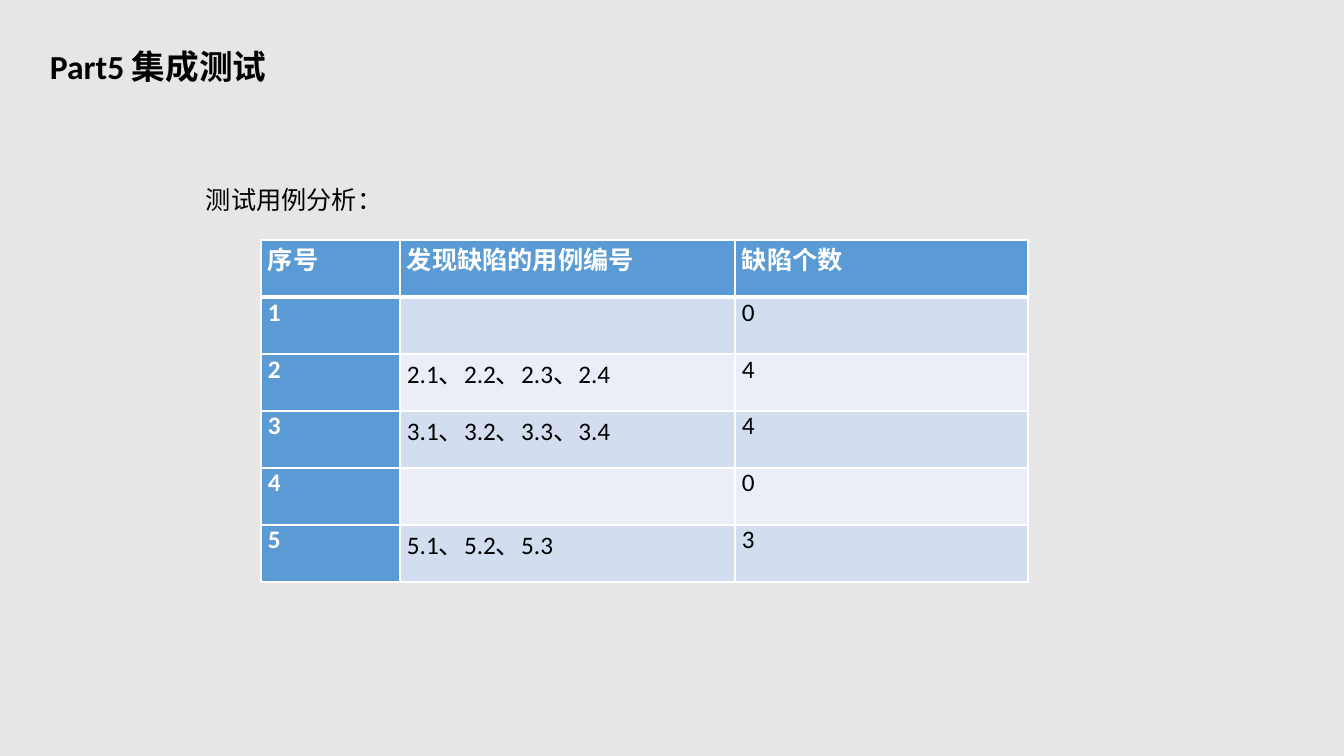
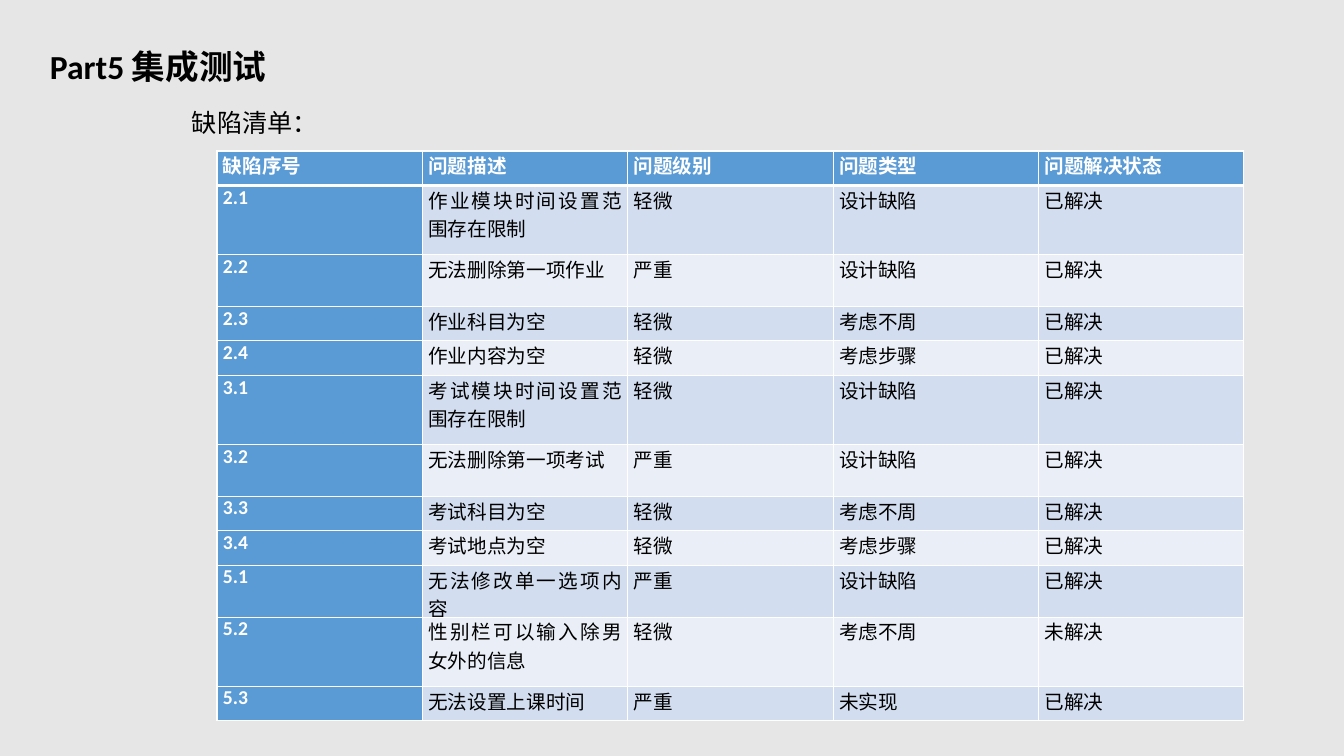
from itertools import product

from pptx import Presentation
from pptx import util as u
from pptx.dml.color import RGBColor
from pptx.enum import lang, text
from pptx.oxml import parse_xml
from pptx.oxml.ns import nsdecls, qn

PX = 914400 / 100.8
PAGE_SIZE = (1344, 756)
LATIN, CHINESE = "Calibri", "Noto Sans CJK SC"
GREY, BLACK, WHITE, BLUE = "E6E6E6", "000000", "FFFFFF", "5B9BD5"
BANDS = ("D2DEEF", "EAEFF7")

TITLE = "Part5 集成测试"
TITLE_BOX = (40, 41, 1205, 51)

CASE_ROWS = [
    ("序号", "发现缺陷的用例编号", "缺陷个数"),
    ("1", "", "0"),
    ("2", "2.1、2.2、2.3、2.4", "4"),
    ("3", "3.1、3.2、3.3、3.4", "4"),
    ("4", "", "0"),
    ("5", "5.1、5.2、5.3", "3"),
]
DEFECT_ROWS = [
    ("缺陷序号", "问题描述", "问题级别", "问题类型", "问题解决状态"),
    ("2.1", "作业模块时间设置范围存在限制", "轻微", "设计缺陷", "已解决"),
    ("2.2", "无法删除第一项作业", "严重", "设计缺陷", "已解决"),
    ("2.3", "作业科目为空", "轻微", "考虑不周", "已解决"),
    ("2.4", "作业内容为空", "轻微", "考虑步骤", "已解决"),
    ("3.1", "考试模块时间设置范围存在限制", "轻微", "设计缺陷", "已解决"),
    ("3.2", "无法删除第一项考试", "严重", "设计缺陷", "已解决"),
    ("3.3", "考试科目为空", "轻微", "考虑不周", "已解决"),
    ("3.4", "考试地点为空", "轻微", "考虑步骤", "已解决"),
    ("5.1", "无法修改单一选项内容", "严重", "设计缺陷", "已解决"),
    ("5.2", "性别栏可以输入除男女外的信息", "轻微", "考虑不周", "未解决"),
    ("5.3", "无法设置上课时间", "严重", "未实现", "已解决"),
]

# One entry per slide; columns and rows are shares of the table box
SLIDES = [
    dict(label="测试用例分析：", label_box=(196, 164, 263, 50),
         rows=CASE_ROWS, table_box=(261, 240, 767, 342),
         columns=(139, 335, 293), heights=(1,) * 6, size=18, inset=7),
    dict(label="缺陷清单：", label_box=(182, 87, 263, 50),
         rows=DEFECT_ROWS, table_box=(217, 151, 1027, 570),
         columns=(1,) * 5, heights=(2, 4, 3, 2, 2, 4, 3, 2, 2, 3, 4, 2),
         size=14, inset=6),
]


def px(length):
    return u.Emu(round(length * PX))


def paint(fill, color):
    fill.solid()
    fill.fore_color.rgb = RGBColor.from_string(color)


def set_all(target, values):
    for name, value in values.items():
        setattr(target, name, value)


def write(para, words, size, color=BLACK, bold=False, latin=LATIN):
    span = para.add_run()
    span.text = words
    set_all(span.font, dict(name=latin, size=u.Pt(size), bold=bold,
                            language_id=lang.MSO_LANGUAGE_ID.SIMPLIFIED_CHINESE))
    span.font.color.rgb = RGBColor.from_string(color)
    # The East Asian typeface follows the Latin one
    span.font._element.find(qn("a:latin")).addnext(
        parse_xml(f'<a:ea {nsdecls("a")} typeface="{CHINESE}"/>'))


def add_text(page, box, words, size, spacing=1.0, **style):
    frame = page.shapes.add_textbox(*map(px, box)).text_frame
    set_all(frame, dict(word_wrap=True,
                        auto_size=text.MSO_AUTO_SIZE.SHAPE_TO_FIT_TEXT))
    para = frame.paragraphs[0]
    para.line_spacing = spacing
    write(para, words, size, **style)


def add_borders(cell, widths):
    for side, width in widths.items():
        cell._tc.get_or_add_tcPr().append(parse_xml(
            f'<a:ln{side} {nsdecls("a")} w="{u.Pt(width)}"><a:solidFill>'
            f'<a:srgbClr val="{WHITE}"/></a:solidFill></a:ln{side}>'))


def share(items, shares, total, side):
    for item, part in zip(items, shares):
        setattr(item, side, px(total * part / sum(shares)))


def add_grid(page, box, rows, columns, heights, size, inset):
    grid = page.shapes.add_table(len(rows), len(columns), *map(px, box)).table
    set_all(grid, dict(first_row=False, horz_banding=False))
    share(grid.columns, columns, box[2], "width")
    share(grid.rows, heights, box[3], "height")
    for row, column in product(range(len(rows)), range(len(columns))):
        cell = grid.cell(row, column)
        set_all(cell, dict(margin_left=px(inset), margin_right=px(inset),
                           margin_top=0, margin_bottom=0))
        # A heavier rule parts the header from the body
        add_borders(cell, dict(L=1, R=1, T=3 if row == 1 else 1,
                               B=3 if row == 0 else 1))
        heading = row == 0 or column == 0
        paint(cell.fill, BLUE if heading else BANDS[(row - 1) % 2])
        if rows[row][column]:
            para = cell.text_frame.paragraphs[0]
            para.alignment = text.PP_ALIGN.JUSTIFY
            write(para, rows[row][column], size,
                  WHITE if heading else BLACK, heading)


def add_table_slide(deck, label, label_box, table_box, **table):
    page = deck.slides.add_slide(deck.slide_layouts[6])
    add_text(page, TITLE_BOX, TITLE, 24, bold=True)
    add_text(page, label_box, label, 18, spacing=1.5, latin=CHINESE)
    add_grid(page, table_box, **table)


def main():
    deck = Presentation()
    deck.slide_width, deck.slide_height = map(px, PAGE_SIZE)
    paint(deck.slide_master.background.fill, GREY)
    for content in SLIDES:
        add_table_slide(deck, **content)
    deck.save("out.pptx")


if __name__ == "__main__":
    main()
